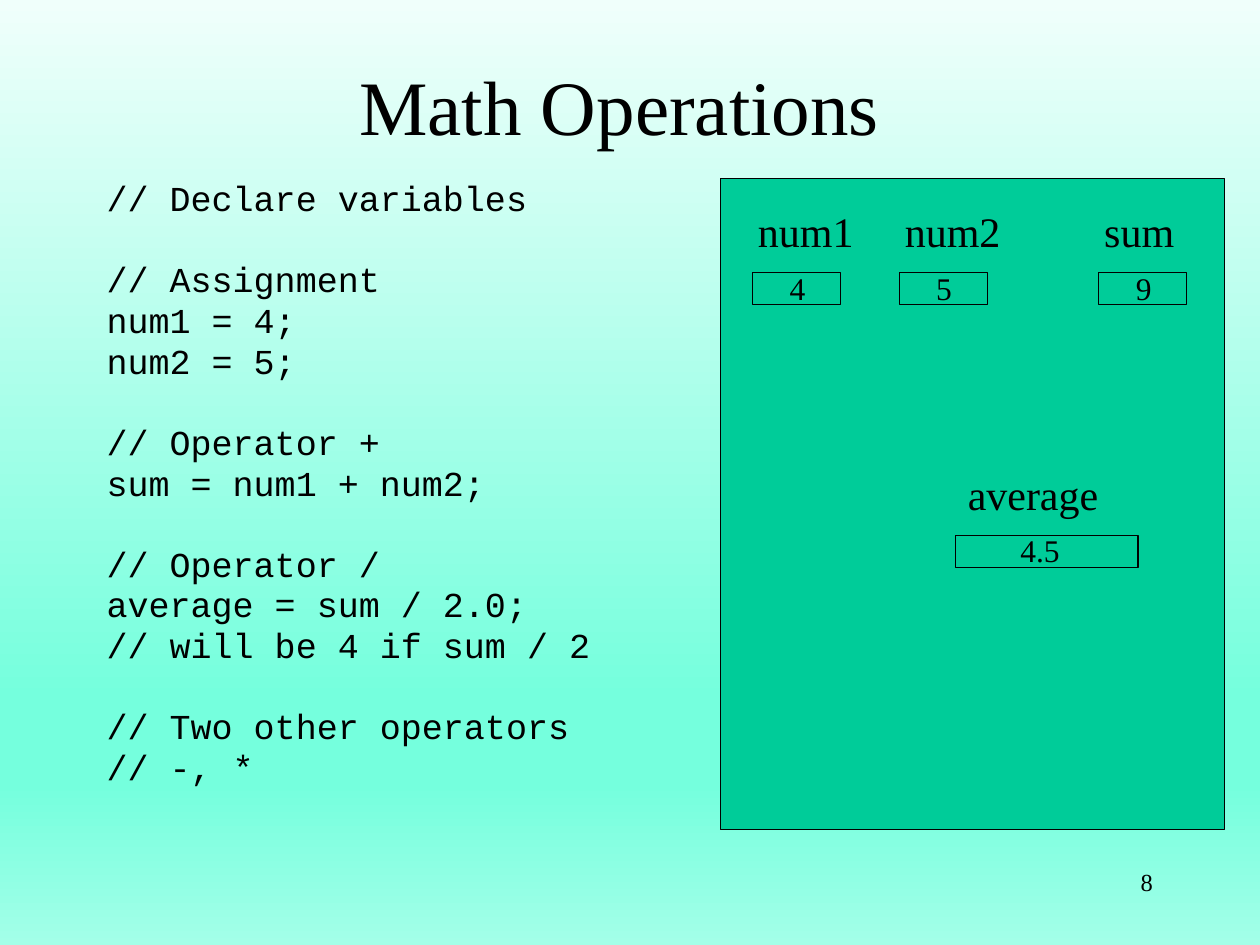
import copy

import pptx
import pptx.dml.color
import pptx.enum.shapes
import pptx.enum.text
import pptx.util

Cm, Pt = pptx.util.Cm, pptx.util.Pt
RGB = pptx.dml.color.RGBColor.from_string
ALIGN = pptx.enum.text.PP_ALIGN

THEME = {
    "ink": RGB("000000"),
    "memory": RGB("00CC99"),
    "backdrop": [(0, "F0FFFB"), (74, "75FFDD"), (83, "75FFDD"), (100, "A3FFE8")],
    "serif": "Times New Roman",
    "mono": "Courier New",
    "title": Pt(44),
    "label": Pt(24),
    "code": Pt(20),
    "value": Pt(18),
    "number": Pt(14),
}


def add_text(slide, text, left, top, width, height, size, font="serif", align=ALIGN.LEFT):
    frame = slide.shapes.add_textbox(Cm(left), Cm(top), Cm(width), Cm(height)).text_frame
    frame.word_wrap = True
    frame.text = text
    for paragraph in frame.paragraphs:
        paragraph.alignment = align
        paragraph.font.name = THEME[font]
        paragraph.font.size = THEME[size]
        paragraph.font.color.rgb = THEME["ink"]
    return frame


def add_cell(slide, left, top, width, height):
    cell = slide.shapes.add_shape(
        pptx.enum.shapes.MSO_SHAPE.RECTANGLE, Cm(left), Cm(top), Cm(width), Cm(height))
    cell.shadow.inherit = False
    cell.fill.solid()
    cell.fill.fore_color.rgb = THEME["memory"]
    cell.line.color.rgb = THEME["ink"]
    cell.line.width = Pt(0.75)


deck = pptx.Presentation()
deck.slide_width, deck.slide_height = Cm(25.4), Cm(19.05)
slide = deck.slides.add_slide(deck.slide_layouts[5])

# Background gradient, top to bottom
backdrop = slide.background.fill
backdrop.gradient()
backdrop.gradient_angle = 270
stop_list = slide.element.xpath(".//a:gsLst")[0]
while len(stop_list) < len(THEME["backdrop"]):
    stop_list.append(copy.deepcopy(stop_list[0]))
for stop, (percent, color) in zip(backdrop.gradient_stops, THEME["backdrop"]):
    stop.color.rgb = RGB(color)
    stop.position = percent / 100

# Title
title = slide.shapes.title
title.left, title.top, title.width, title.height = Cm(1.69), Cm(0.85), Cm(21.59), Cm(2.54)
title.text_frame.text = "Math Operations"
title.text_frame.vertical_anchor = pptx.enum.text.MSO_ANCHOR.MIDDLE
heading = title.text_frame.paragraphs[0]
heading.alignment = ALIGN.CENTER
heading.font.name = THEME["serif"]
heading.font.size = THEME["title"]
heading.font.color.rgb = THEME["ink"]

# Code listing, in groups set apart by spacing
code_groups = [
    ["// Declare variables"],
    ["// Assignment", "num1 = 4;", "num2 = 5;"],
    ["// Operator +", "sum = num1 + num2;"],
    ["// Operator /", "average = sum / 2.0;", "// will be 4 if sum / 2"],
    ["// Two other operators", "// -, *"],
]
code_lines = [line for group in code_groups for line in group]
group_starts = [group[0] for group in code_groups]
code = add_text(slide, "\n".join(code_lines), 1.9, 3.6, 11.71, 14.17, "code", "mono")
for index, paragraph in enumerate(code.paragraphs):
    paragraph.line_spacing = 0.8
    if index:
        paragraph.space_before = Pt(27.1 if paragraph.text in group_starts else 4.1)

# Memory panel
add_cell(slide, 14.52, 3.6, 10.16, 13.12)

# Variables: name, value, top, label left and width, cell left and width, value left
variables = [
    ("num1", "4", 4.02, 15.03, 2.44, 15.17, 1.78, 15.67),
    ("num2", "5", 4.02, 17.99, 2.44, 18.13, 1.78, 18.62),
    ("sum", "9", 4.02, 22.01, 2.06, 22.14, 1.78, 22.65),
    ("average", "4.5", 9.32, 19.26, 3.15, 19.26, 3.68, 20.32),
]
for name, value, top, label_left, label_width, cell_left, cell_width, value_left in variables:
    add_text(slide, name, label_left, top, label_width, 1.27, "label")
    add_cell(slide, cell_left, top + 1.48, cell_width, 0.64)
    add_text(slide, value, value_left, top + 1.27, 1.9, 1.02, "value")

# Slide number
add_text(slide, "8", 18.2, 17.36, 5.29, 1.27, "number", align=ALIGN.RIGHT)

deck.save("out.pptx")
